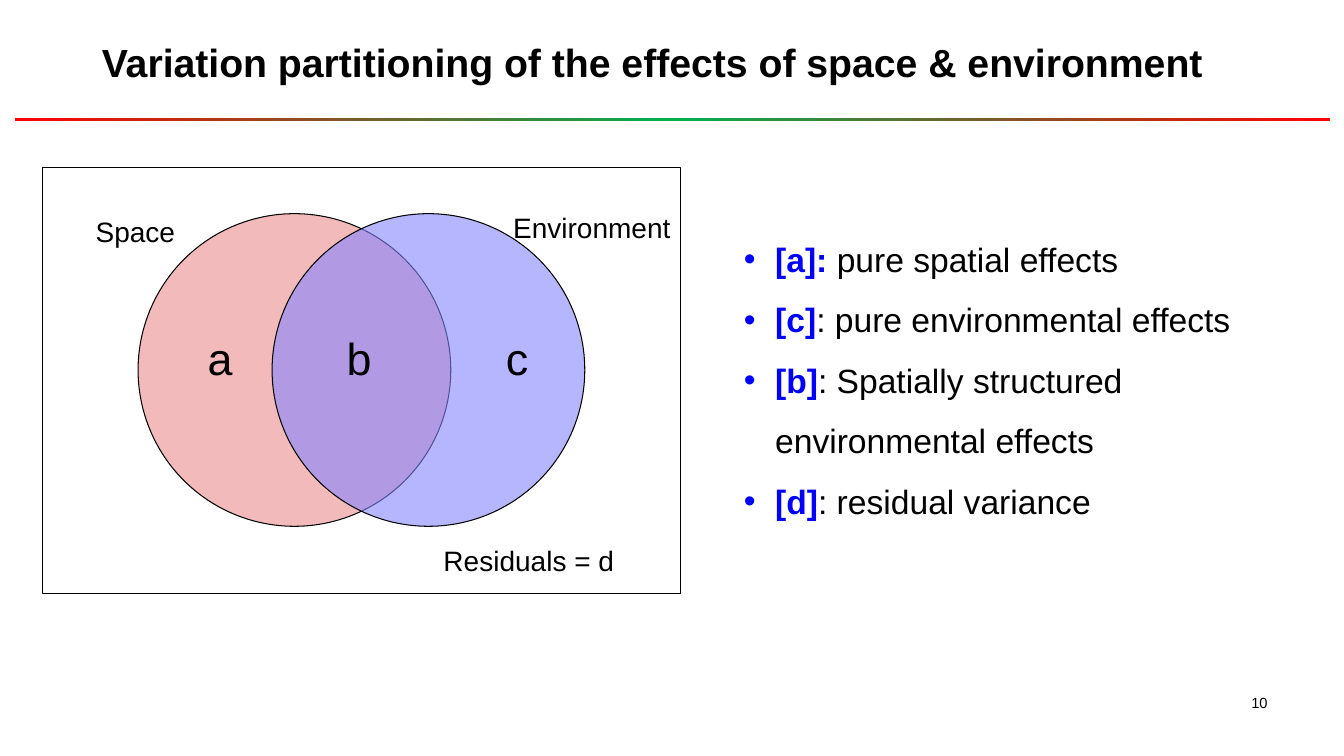
from copy import deepcopy
from dataclasses import dataclass

from lxml import etree
from pptx import Presentation
from pptx.dml.color import RGBColor
from pptx.enum.shapes import MSO_SHAPE
from pptx.enum.text import MSO_ANCHOR, PP_ALIGN
from pptx.oxml.ns import qn
from pptx.util import Inches, Pt

RECT, OVAL = MSO_SHAPE.RECTANGLE, MSO_SHAPE.OVAL
TOP, MIDDLE = MSO_ANCHOR.TOP, MSO_ANCHOR.MIDDLE
LEFT, RIGHT = PP_ALIGN.LEFT, PP_ALIGN.RIGHT


@dataclass(frozen=True)
class Theme:
    """Colours, font and type sizes of the slide."""
    font: str = "Arial"
    ink: str = "000000"
    key: str = "0000FF"
    space: str = "EA8C8C"
    environment: str = "8686FF"
    rule: tuple = ("FF0000", "00B050", "FF0000")
    title: float = 28
    region: float = 32
    body: float = 24
    label: float = 20
    number: float = 10.5


THEME = Theme()


def add_run(p, text, size, color=THEME.ink, bold=False):
    """Append a formatted run to a paragraph."""
    r = p.add_run()
    r.text = text
    r.font.name, r.font.size, r.font.bold = THEME.font, Pt(size), bold
    r.font.color.rgb = RGBColor.from_string(color)


def add_text(shapes, box, text, size, align=LEFT, anchor=TOP):
    """Add a wrapped text box holding one line of text."""
    tf = shapes.add_textbox(*map(Inches, box)).text_frame
    tf.word_wrap, tf.vertical_anchor = True, anchor
    tf.paragraphs[0].alignment = align
    add_run(tf.paragraphs[0], text, size)


def add_outline(shapes, kind, box, fill=None, alpha=60):
    """Add a thin-outlined shape, empty or with a translucent fill."""
    sp = shapes.add_shape(kind, *map(Inches, box))
    sp.shadow.inherit = False
    sp.line.color.rgb, sp.line.width = RGBColor.from_string(THEME.ink), Pt(0.75)
    if fill is None:
        sp.fill.background()
        return
    sp.fill.solid()
    sp.fill.fore_color.rgb = RGBColor.from_string(fill)
    color = sp._element.spPr.find(qn("a:solidFill"))[0]
    etree.SubElement(color, qn("a:alpha"), val=str(alpha * 1000))


def add_title(s, box, text):
    """Place the title placeholder and fill in its text."""
    title = s.shapes.title
    title.left, title.top, title.width, title.height = map(Inches, box)
    tf = title.text_frame
    tf.word_wrap, tf.vertical_anchor = False, TOP
    tf.paragraphs[0].alignment = LEFT
    add_run(tf.paragraphs[0], text, THEME.title, bold=True)


def add_rule(s, box):
    """Draw the gradient rule under the title."""
    sp = s.shapes.add_shape(RECT, *map(Inches, box))
    sp.shadow.inherit = False
    sp.line.fill.background()
    sp.fill.gradient()
    sp.fill.gradient_angle = 0
    stops = sp._element.spPr.find(qn("a:gradFill")).find(qn("a:gsLst"))
    stops.insert(1, deepcopy(stops[0]))
    for i, (stop, color) in enumerate(zip(sp.fill.gradient_stops, THEME.rule)):
        stop.position = i / 2
        stop.color.rgb = RGBColor.from_string(color)


def add_venn(s, box):
    """Draw the framed two-circle diagram with its labels."""
    x, y, w, h = box
    shapes = s.shapes.add_group_shape().shapes
    add_outline(shapes, RECT, box)
    size = 0.49 * w
    for share, fill in ((0.15, THEME.space), (0.36, THEME.environment)):
        add_outline(shapes, OVAL, (x + share * w, y + 0.46, size, size), fill)
    labels = (
        ("Space", 0.43, 0.43, 1.24, 0.4, THEME.label),
        ("Environment", 4.57, 0.4, 2.32, 0.4, THEME.label),
        ("a", 1.54, 1.52, 0.52, 0.74, THEME.region),
        ("b", 2.92, 1.52, 0.52, 0.74, THEME.region),
        ("c", 4.5, 1.52, 0.5, 0.74, THEME.region),
        ("Residuals = d", 3.88, h - 0.59, 2.22, 0.51, THEME.label),
    )
    for text, dx, dy, width, height, pt in labels:
        add_text(shapes, (x + dx, y + dy, width, height), text, pt, anchor=MIDDLE)


def add_legend(s, box, entries):
    """List the fractions as bullets with a bold coloured key."""
    tf = s.shapes.add_textbox(*map(Inches, box)).text_frame
    tf.word_wrap = True
    for i, (key, meaning) in enumerate(entries):
        p = tf.add_paragraph() if i else tf.paragraphs[0]
        p.line_spacing = 1.5
        pPr = p._p.get_or_add_pPr()
        pPr.set("marL", str(Inches(0.31)))
        pPr.set("indent", str(-Inches(0.31)))
        etree.SubElement(pPr, qn("a:buFont"), typeface=THEME.font)
        etree.SubElement(pPr, qn("a:buChar"), char="•")
        add_run(p, key, THEME.body, THEME.key, True)
        add_run(p, meaning, THEME.body)


def main():
    """Build the slide and save it."""
    prs = Presentation()
    prs.slide_width, prs.slide_height = Inches(13.33), Inches(7.5)
    s = prs.slides.add_slide(prs.slide_layouts[5])
    add_rule(s, (0.15, 1.17, 13.04, 0.03))
    add_title(s, (0.91, 0.33, 11.15, 0.57),
              "Variation partitioning of the effects of space & environment")
    add_venn(s, (0.42, 1.66, 6.33, 4.23))
    add_legend(s, (7.28, 2.12, 5.45, 3.06), (
        ("[a]: ", "pure spatial effects"),
        ("[c]", ": pure environmental effects"),
        ("[b]", ": Spatially structured environmental effects"),
        ("[d]", ": residual variance"),
    ))
    add_text(s.shapes, (9.56, 6.83, 3.11, 0.52), "10", THEME.number, RIGHT)
    prs.save("out.pptx")


if __name__ == "__main__":
    main()
